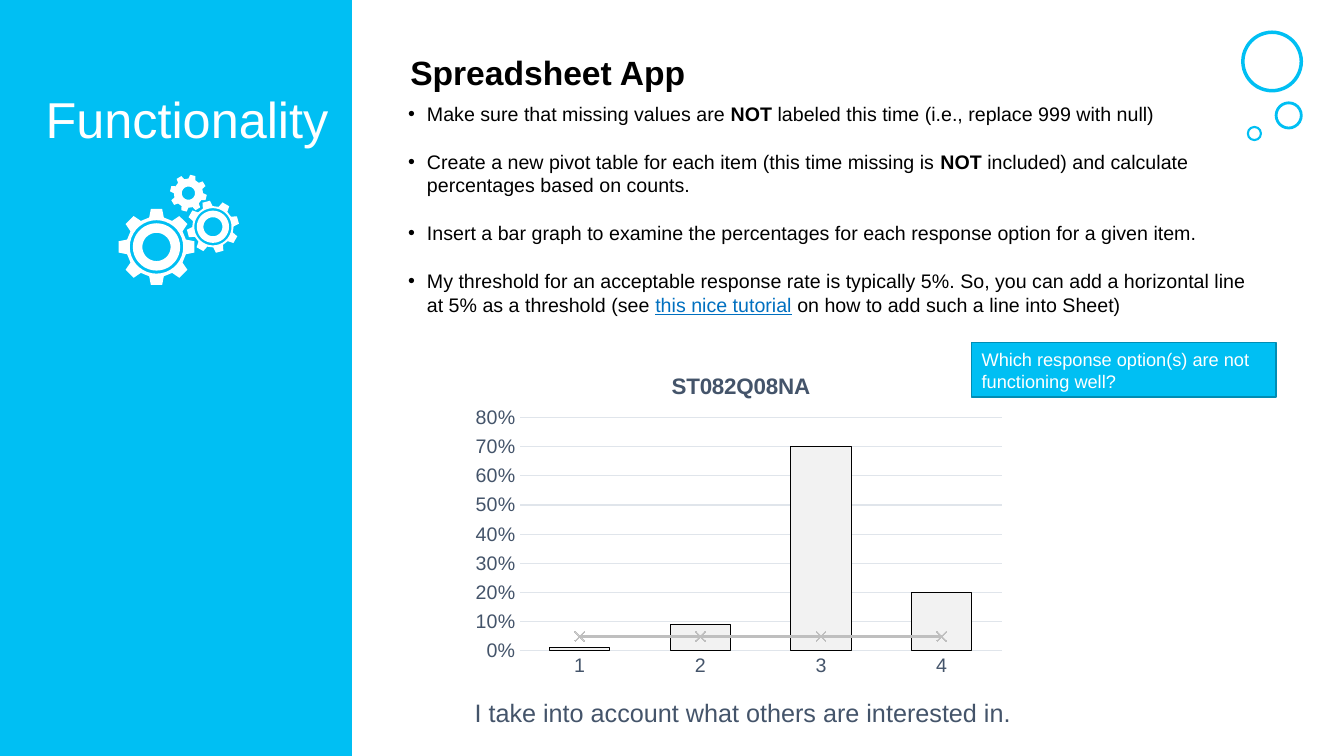
from math import cos, radians, sin

from lxml.etree import SubElement
from pptx import Presentation
from pptx.chart.data import CategoryChartData
from pptx.dml.color import RGBColor
from pptx.enum.chart import XL_CHART_TYPE, XL_MARKER_STYLE, XL_TICK_MARK
from pptx.enum.shapes import MSO_SHAPE
from pptx.enum.text import MSO_ANCHOR, PP_ALIGN
from pptx.oxml import parse_xml
from pptx.oxml.ns import nsdecls, qn
from pptx.util import Pt

FONT = "Arial"
CYAN, WHITE, BLACK, SLATE = "00BFF3", "FFFFFF", "000000", "44546A"
GRID, BAR, THRESHOLD, LINK = "E0E5EB", "F2F2F2", "BFBFBF", "0070C0"

BULLETS = [
    [("Make sure that missing values are ", {}), ("NOT", {"bold": True}),
     (" labeled this time (i.e., replace 999 with null)", {})],
    [("Create a new pivot table for each item (this time missing is ", {}),
     ("NOT", {"bold": True}),
     (" included) and calculate percentages based on counts.", {})],
    [("Insert a bar graph to examine the percentages for each response option "
      "for a given item.", {})],
    [("My threshold for an acceptable response rate is typically 5%. So, you can add "
      "a horizontal line at 5% as a threshold (see ", {}),
     ("this nice tutorial", {"underline": True, "color": LINK}),
     (" on how to add such a line into Sheet)", {})],
]
CIRCLES = [(887.76, 23.04, 41.76, 2.5), (911.52, 73.44, 18, 2), (891.36, 90.72, 9.36, 1.5)]
# Centre, outer radius, tilt in degrees, radii of the inner rings
GEARS = [
    (111.8, 176.4, 27.4, 0, (19.1, 16.9, 10.1)),
    (152.1, 162, 18.7, -15, (13.3, 11.5, 6.8)),
    (134.6, 138, 13.2, 14, (4.7,)),
]


def rgb(color):
    return RGBColor.from_string(color)


def style_font(font, size, color, **format):
    values = {"name": FONT, "size": Pt(size), "bold": False, **format}
    for key, value in values.items():
        setattr(font, key, value)
    font.color.rgb = rgb(color)


def style_shape(sp, fill=None, line=None, width=1):
    sp.shadow.inherit = False
    if fill:
        sp.fill.solid()
        sp.fill.fore_color.rgb = rgb(fill)
    else:
        sp.fill.background()
    style_line(sp.line, line, width)


def style_line(line, color, width=0.75):
    if color:
        line.color.rgb = rgb(color)
        line.width = Pt(width)
    else:
        line.fill.background()


def add_preset(slide, kind, x, y, w, h, **style):
    sp = slide.shapes.add_shape(kind, Pt(x), Pt(y), Pt(w), Pt(h))
    style_shape(sp, **style)
    return sp


def write(p, text, size, color, **format):
    r = p.add_run()
    r.text = text
    style_font(r.font, size, color, **format)


def add_text(slide, x, y, w, h, text, size, color, align=PP_ALIGN.LEFT, frame=None, **format):
    tf = slide.shapes.add_textbox(Pt(x), Pt(y), Pt(w), Pt(h)).text_frame
    for key, value in {"word_wrap": True, **(frame or {})}.items():
        setattr(tf, key, value)
    p = tf.paragraphs[0]
    p.alignment = align
    if text:
        write(p, text, size, color, **format)
    return tf


def add_bullets(tf, items):
    for i, runs in enumerate(items):
        p = tf.add_paragraph() if i else tf.paragraphs[0]
        p.space_before = Pt(17.5 if i else 0)
        pPr = p._p.get_or_add_pPr()
        pPr.set("marL", str(Pt(13.5)))
        pPr.set("indent", str(-Pt(13.5)))
        SubElement(pPr, qn("a:buFont"), typeface=FONT)
        SubElement(pPr, qn("a:buChar"), char="•")
        for text, format in runs:
            write(p, text, 14, **{"color": BLACK, **format})


def polar(cx, cy, radius, degrees):
    a = radians(degrees)
    return round(100 * (cx + radius * sin(a))), round(100 * (cy - radius * cos(a)))


def gear_outlines(cx, cy, radius, tilt, rings):
    root = 0.79 * radius
    corners = [(root, -14), (radius, -8.5), (radius, 8.5), (root, 14)]
    yield [polar(cx, cy, r, tilt + 45 * tooth + a) for tooth in range(8) for r, a in corners]
    for ring in rings:
        yield [polar(cx, cy, ring, a) for a in range(0, 360, 10)]


def add_gears(slide):
    outlines = [outline for gear in GEARS for outline in gear_outlines(*gear)]
    builder = slide.shapes.build_freeform(*outlines[0][0], scale=Pt(1) / 100)
    for i, outline in enumerate(outlines):
        if i:
            builder.move_to(*outline[0])
        builder.add_line_segments(outline[1:], close=True)
    style_shape(builder.convert_to_shape(), fill=WHITE)


def set_layout(parent, index, inner=False, **fractions):
    for old in parent.findall(qn("c:layout")):
        parent.remove(old)
    layout = parse_xml(f'<c:layout {nsdecls("c")}><c:manualLayout/></c:layout>')
    values = {"layoutTarget": "inner"} if inner else {}
    values.update(xMode="edge", yMode="edge", **fractions)
    for tag, value in values.items():
        SubElement(layout[0], qn(f"c:{tag}"), val=str(value))
    parent.insert(index, layout)


def move_to_line(chart):
    bars = chart.element.xpath(".//c:barChart")[0]
    ser = bars.findall(qn("c:ser"))[1]
    for invert in ser.findall(qn("c:invertIfNegative")):
        ser.remove(invert)
    line = parse_xml(f'<c:lineChart {nsdecls("c")}><c:grouping val="standard"/>'
                     '<c:varyColors val="0"/><c:marker val="1"/></c:lineChart>')
    line.insert(2, ser)
    for axis in bars.findall(qn("c:axId")):
        SubElement(line, qn("c:axId"), val=axis.get("val"))
    bars.addnext(line)


def add_response_chart(slide):
    data = CategoryChartData(number_format="0%")
    data.categories = ["1", "2", "3", "4"]
    data.add_series("Series 1", [0.01, 0.09, 0.7, 0.2])
    data.add_series("Series 2", [0.05] * 4)
    chart = slide.shapes.add_chart(XL_CHART_TYPE.COLUMN_CLUSTERED, Pt(331.92), Pt(250.56),
                                   Pt(391.68), Pt(238.32), data).chart
    style_font(chart.font, 10, BLACK)
    chart.has_legend = False
    move_to_line(chart)

    # Title and plot area
    chart.has_title = True
    title = chart.chart_title
    write(title.text_frame.paragraphs[0], "ST082Q08NA", 16, SLATE, bold=True)
    set_layout(chart.element.xpath("./c:chart/c:title")[0], 1, x=0.37, y=0.05)
    set_layout(chart.element.xpath(".//c:plotArea")[0], 0, inner=True,
               x=0.1, y=0.2, w=0.88, h=0.7)

    # Axes
    for axis, color in ((chart.category_axis, GRID), (chart.value_axis, None)):
        axis.major_tick_mark = axis.minor_tick_mark = XL_TICK_MARK.NONE
        style_font(axis.tick_labels.font, 14, SLATE)
        style_line(axis.format.line, color)
    scale = {"minimum_scale": 0, "maximum_scale": 0.8, "major_unit": 0.1}
    for key, value in scale.items():
        setattr(chart.value_axis, key, value)
    labels = chart.value_axis.tick_labels
    labels.number_format, labels.number_format_is_linked = "0%", False
    style_line(chart.value_axis.major_gridlines.format.line, GRID)

    # Columns and threshold line
    bars, line = chart.plots
    bars.gap_width, bars.overlap, bars.vary_by_categories = 100, -24, False
    columns, threshold = bars.series[0], line.series[0]
    columns.format.fill.solid()
    columns.format.fill.fore_color.rgb = rgb(BAR)
    style_line(columns.format.line, BLACK)
    threshold.smooth = False
    style_line(threshold.format.line, THRESHOLD, 2.5)
    threshold.marker.style, threshold.marker.size = XL_MARKER_STYLE.X, 7
    threshold.marker.format.fill.background()
    style_line(threshold.marker.format.line, THRESHOLD)


def main():
    prs = Presentation()
    prs.slide_width, prs.slide_height = Pt(960), Pt(540)
    slide = prs.slides.add_slide(prs.slide_layouts[6])

    # Side panel
    add_preset(slide, MSO_SHAPE.RECTANGLE, 0, 0, 251.28, 540, fill=CYAN)
    add_text(slide, 0, 59.04, 252.72, 51.12, "Functionality", 36, WHITE, PP_ALIGN.CENTER,
             {"margin_left": Pt(21.6), "vertical_anchor": MSO_ANCHOR.MIDDLE})
    add_gears(slide)

    # Heading and instructions
    add_bullets(add_text(slide, 284.4, 69.12, 627.12, 210.96, "", 14, BLACK), BULLETS)
    add_text(slide, 284.4, 33.84, 627.12, 36, "Spreadsheet App", 24, BLACK,
             frame={"margin_left": Pt(8.64), "margin_right": Pt(8.64)}, bold=True)

    # Corner circles
    for x, y, size, width in CIRCLES:
        add_preset(slide, MSO_SHAPE.OVAL, x, y, size, size, line=CYAN, width=width)

    # Chart, question and caption
    add_response_chart(slide)
    sp = add_preset(slide, MSO_SHAPE.RECTANGLE, 694.08, 244.8, 217.44, 38.88,
                    fill=CYAN, line="008DB4")
    p = sp.text_frame.paragraphs[0]
    p.alignment = PP_ALIGN.LEFT
    write(p, "Which response option(s) are not functioning well?", 13, WHITE)
    add_text(slide, 331.92, 494.64, 401.04, 28.8,
             "I take into account what others are interested in.", 18, SLATE,
             frame={"word_wrap": False})

    prs.save("out.pptx")


if __name__ == "__main__":
    main()
